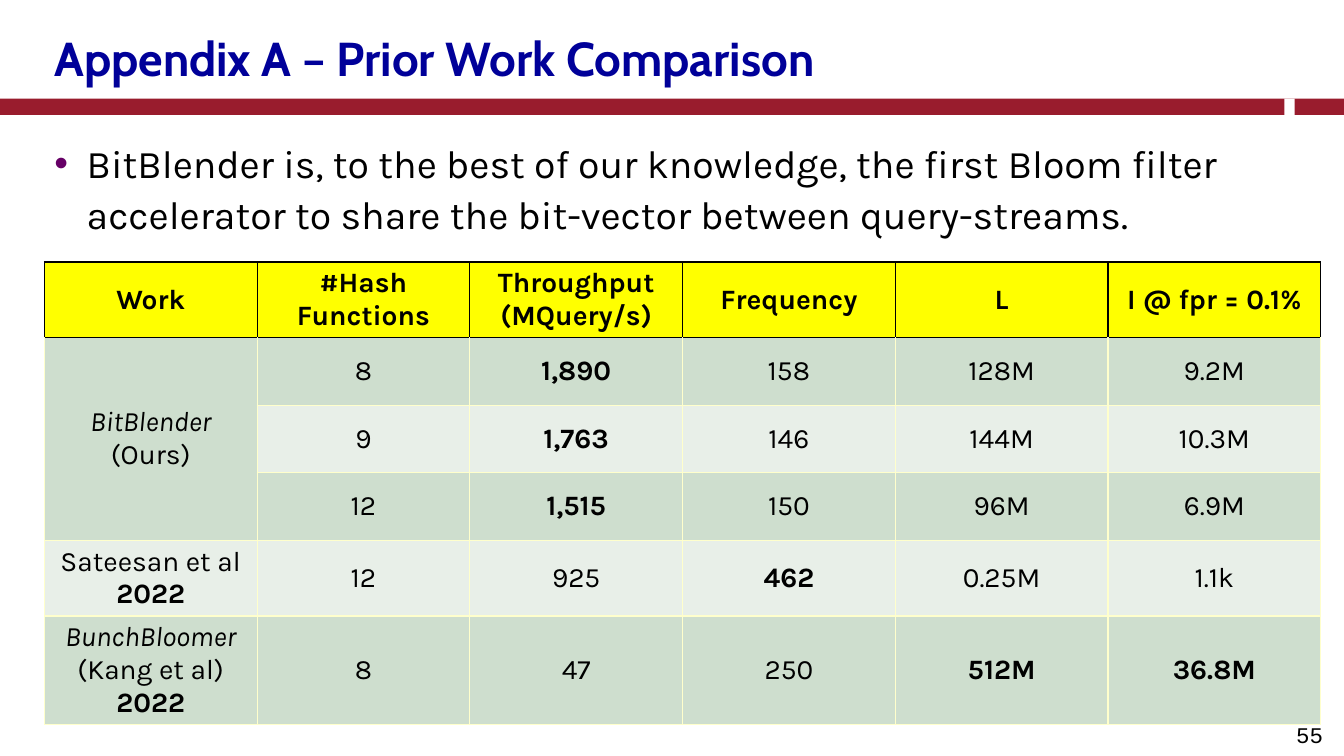
from copy import deepcopy
from dataclasses import dataclass

from lxml import etree
from pptx import Presentation
from pptx.dml.color import RGBColor
from pptx.enum import shapes, text
from pptx.oxml import ns
from pptx.util import Inches, Pt


@dataclass(frozen=True)
class Theme:
    title_font: str = "Cabin"
    text_font: str = "Karla"
    number_font: str = "Courier New"
    title_size: int = 34
    body_size: int = 28
    table_size: int = 20
    number_size: int = 16
    ink: str = "000000"
    title: str = "000099"
    bullet: str = "660066"
    band: str = "991C2D"
    paper: str = "FFFFFF"
    header: str = "FFFF00"
    odd_row: str = "CEDECE"
    even_row: str = "E8EFE8"
    grid: str = "FFFFCC"


@dataclass(frozen=True)
class Box:
    left: float
    top: float
    width: float
    height: float

    def lengths(self):
        return [Inches(v) for v in (self.left, self.top, self.width, self.height)]


@dataclass(frozen=True)
class Band:
    box: Box
    color: str


@dataclass(frozen=True)
class Entry:
    wording: str
    bold_lines: tuple[int, ...] = ()
    italic_lines: tuple[int, ...] = ()


THEME = Theme()
BANDS = [
    Band(Box(0, 0.98, 13.33, 0.16), THEME.band),
    Band(Box(12.74, 0.98, 0.1, 0.16), THEME.paper),
]
HEADINGS = ["Work", "#Hash Functions", "Throughput\n(MQuery/s)",
            "Frequency", "L", "I @ fpr = 0.1%"]
WORKS = {
    1: Entry("BitBlender\n(Ours)", italic_lines=(0,)),
    4: Entry("Sateesan et al\n2022", bold_lines=(1,)),
    5: Entry("BunchBloomer\n(Kang et al)\n2022", bold_lines=(2,), italic_lines=(0,)),
}
RESULTS = [
    ["8", "1,890", "158", "128M", "9.2M"],
    ["9", "1,763", "146", "144M", "10.3M"],
    ["12", "1,515", "150", "96M", "6.9M"],
    ["12", "925", "462", "0.25M", "1.1k"],
    ["8", "47", "250", "512M", "36.8M"],
]
BEST = {"1,890", "1,763", "1,515", "462", "512M", "36.8M"}


def style_font(font, name: str, size: int, color: str, bold: bool = False,
               italic: bool = False) -> None:
    font.name = name
    font.size = Pt(size)
    font.color.rgb = RGBColor.from_string(color)
    font.bold = bold
    font.italic = italic


def place(shape, box: Box) -> None:
    shape.left, shape.top, shape.width, shape.height = box.lengths()


def draw_band(slide, band: Band) -> None:
    bar = slide.shapes.add_shape(shapes.MSO_SHAPE.RECTANGLE, *band.box.lengths())
    bar.shadow.inherit = False
    bar.fill.solid()
    bar.fill.fore_color.rgb = RGBColor.from_string(band.color)
    bar.line.fill.background()


def draw_title(slide, wording: str) -> None:
    title = slide.shapes.title
    place(title, Box(0.44, 0.24, 12.15, 0.74))
    frame = title.text_frame
    frame.text = wording
    frame.auto_size = text.MSO_AUTO_SIZE.NONE
    frame.vertical_anchor = text.MSO_ANCHOR.MIDDLE
    heading = frame.paragraphs[0]
    heading.alignment = text.PP_ALIGN.LEFT
    heading.line_spacing = 0.9
    style_font(heading.runs[0].font, THEME.title_font, THEME.title_size,
               THEME.title, bold=True)


def draw_claim(slide, wording: str) -> None:
    body = slide.placeholders[1]
    place(body, Box(0.44, 1.3, 12.15, 5.96))
    frame = body.text_frame
    frame.text = wording
    frame.auto_size = text.MSO_AUTO_SIZE.NONE
    claim = frame.paragraphs[0]
    claim.line_spacing = Pt(36)
    claim.space_before = Pt(0)
    props = claim._p.get_or_add_pPr()
    props.set("marL", str(Inches(0.32)))
    props.set("indent", str(-Inches(0.32)))
    bullet_color = etree.SubElement(props, ns.qn("a:buClr"))
    etree.SubElement(bullet_color, ns.qn("a:srgbClr"), val=THEME.bullet)
    etree.SubElement(props, ns.qn("a:buChar"), char="•")
    style_font(claim.runs[0].font, THEME.text_font, THEME.body_size, THEME.ink)


def draw_page_number(slide, wording: str) -> None:
    number = slide.shapes.add_textbox(*Box(10.44, 7.08, 2.78, 0.42).lengths())
    frame = number.text_frame
    frame.text = wording
    frame.word_wrap = True
    frame.vertical_anchor = text.MSO_ANCHOR.MIDDLE
    line = frame.paragraphs[0]
    line.alignment = text.PP_ALIGN.RIGHT
    style_font(line.runs[0].font, THEME.number_font, THEME.number_size, THEME.ink)


def set_borders(cell, row: int) -> None:
    props = cell._tc.get_or_add_tcPr()
    for side in "LRTB":
        black = row == 0 or (row == 1 and side == "T")
        edge = etree.SubElement(props, ns.qn(f"a:ln{side}"), w=str(Pt(1)))
        fill = etree.SubElement(edge, ns.qn("a:solidFill"))
        etree.SubElement(fill, ns.qn("a:srgbClr"),
                         val=THEME.ink if black else THEME.grid)


def fill_cell(cell, entry: Entry, row: int) -> None:
    set_borders(cell, row)
    color = THEME.odd_row if row % 2 else THEME.even_row
    cell.fill.solid()
    cell.fill.fore_color.rgb = RGBColor.from_string(color if row else THEME.header)
    cell.vertical_anchor = text.MSO_ANCHOR.MIDDLE
    paragraph = cell.text_frame.paragraphs[0]
    paragraph.text = entry.wording.replace("\n", "\v")
    paragraph.alignment = text.PP_ALIGN.CENTER
    style_font(paragraph.font, THEME.text_font, THEME.table_size, THEME.ink)
    for index, run in enumerate(paragraph.runs):
        style_font(run.font, THEME.text_font, THEME.table_size, THEME.ink,
                   bold=row == 0 or index in entry.bold_lines,
                   italic=index in entry.italic_lines)
    for line_break in paragraph._p.findall(ns.qn("a:br")):
        line_break.insert(0, deepcopy(paragraph.runs[0]._r.rPr))


def draw_comparison(slide) -> None:
    rows = [[Entry(heading) for heading in HEADINGS]]
    for number, values in enumerate(RESULTS, start=1):
        results = [Entry(v, bold_lines=(0,) if v in BEST else ()) for v in values]
        rows.append([WORKS.get(number, Entry("")), *results])
    holder = slide.shapes.add_table(len(rows), len(HEADINGS),
                                    *Box(0.44, 2.6, 12.66, 4.02).lengths())
    comparison = holder.table
    for column in comparison.columns:
        column.width = Inches(2.11)
    for table_row in comparison.rows:
        table_row.height = Inches(0.67)
    for row, entries in enumerate(rows):
        for column, entry in enumerate(entries):
            fill_cell(comparison.cell(row, column), entry, row)
    comparison.cell(1, 0).merge(comparison.cell(3, 0))


def main() -> None:
    deck = Presentation()
    deck.slide_width, deck.slide_height = Inches(13.33), Inches(7.5)
    slide = deck.slides.add_slide(deck.slide_layouts[1])
    for band in BANDS:
        draw_band(slide, band)
    draw_claim(slide, "BitBlender is, to the best of our knowledge, the first Bloom "
                      "filter accelerator to share the bit-vector between query-streams.")
    draw_title(slide, "Appendix A – Prior Work Comparison")
    draw_comparison(slide)
    draw_page_number(slide, "55")
    deck.save("out.pptx")


if __name__ == "__main__":
    main()
